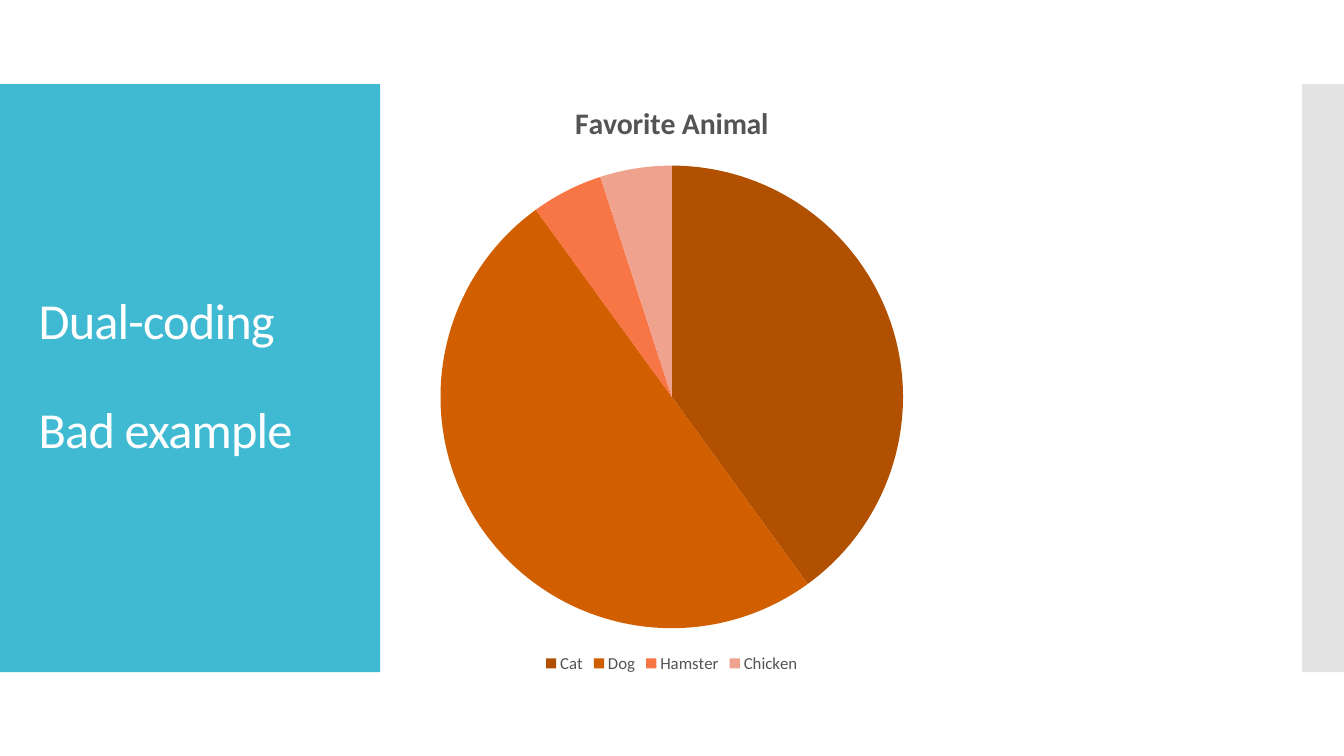
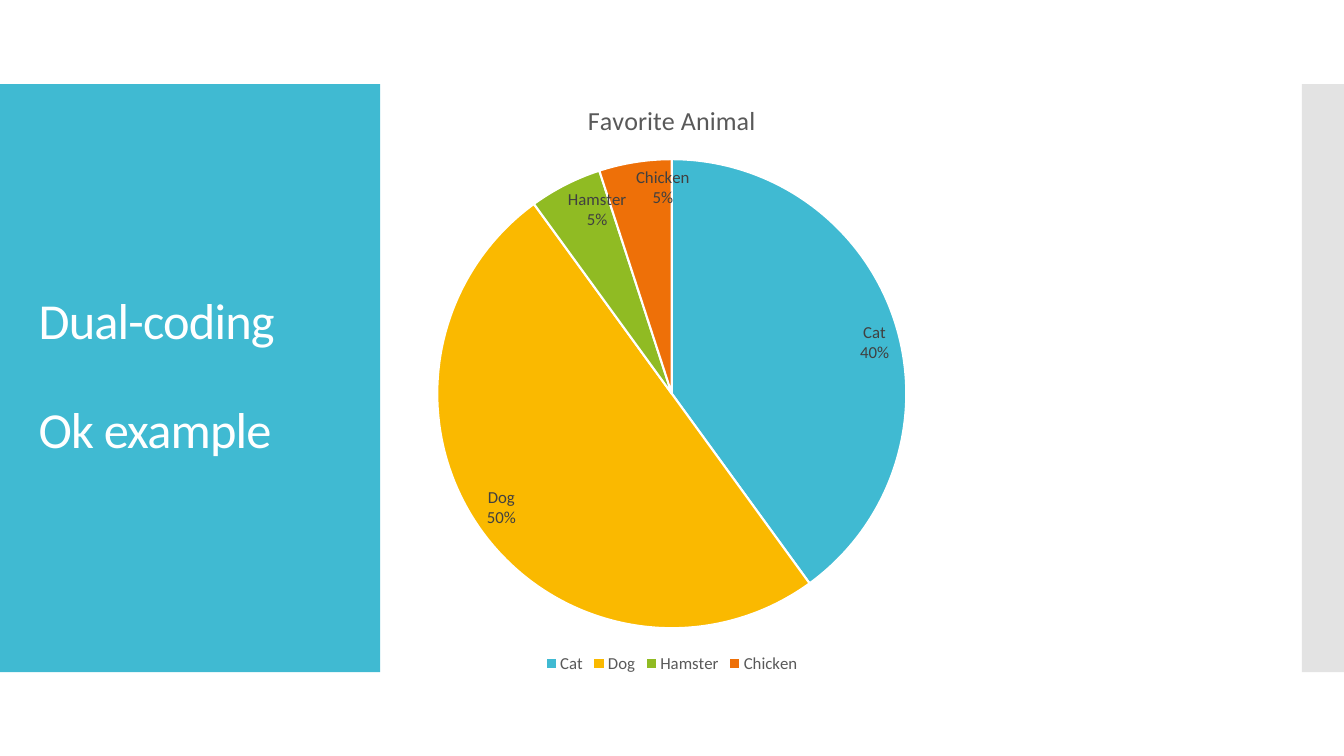
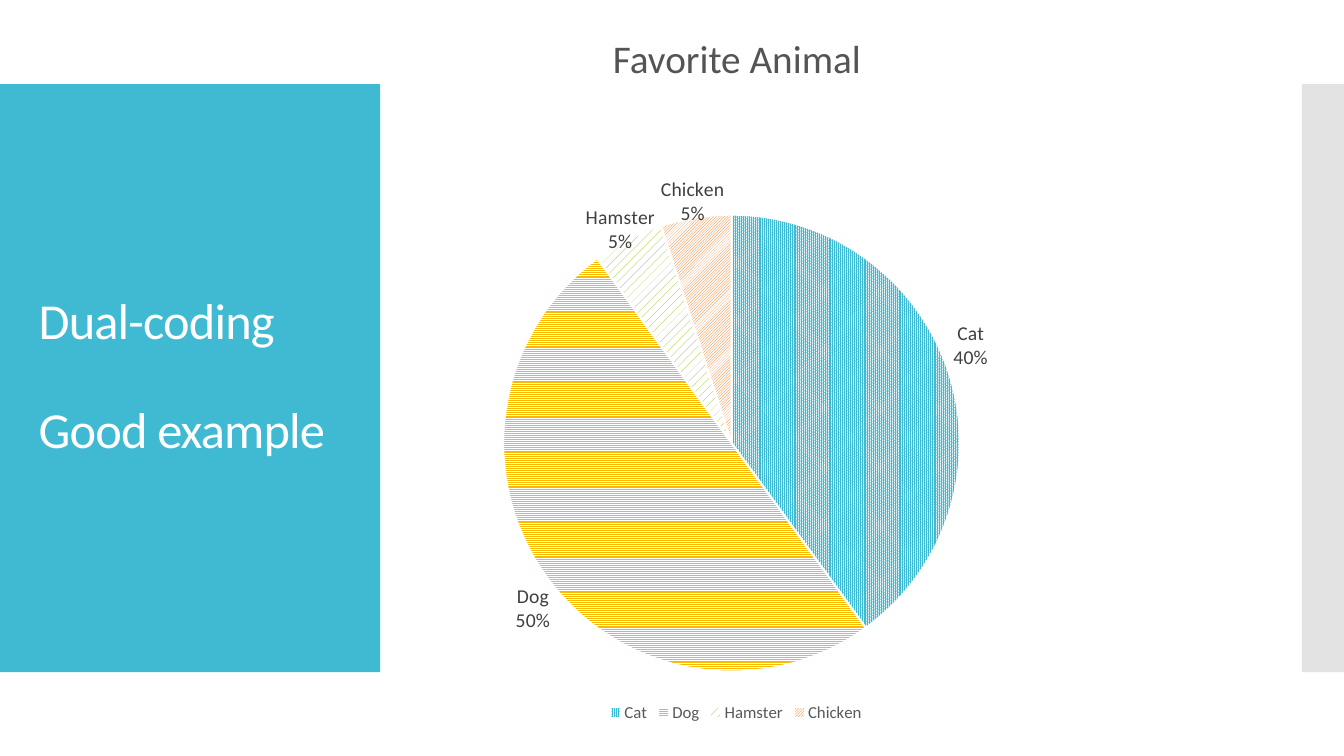
import dataclasses

import lxml.etree
import pptx
import pptx.chart.data
import pptx.dml.color
import pptx.enum.chart
import pptx.enum.dml
import pptx.enum.shapes
import pptx.enum.text
import pptx.oxml.ns
import pptx.util
from pptx.util import Cm, Pt

ALIGN = pptx.enum.text.PP_ALIGN
ANCHOR = pptx.enum.text.MSO_ANCHOR
PATTERN = pptx.enum.dml.MSO_PATTERN
INSIDE_END = pptx.enum.chart.XL_LABEL_POSITION.INSIDE_END


@dataclasses.dataclass(frozen=True)
class Theme:
    font: str = "Calibri"
    white: str = "FFFFFF"
    panel: str = "40BAD2"
    edge: str = "C8C8C8"
    dark_grey: str = "545454"
    grey: str = "595959"
    label: str = "404040"
    browns: tuple = ("B05000", "D15F00", "F87545", "EFA38F")
    accents: tuple = ("40BAD2", "FAB900", "90BB23", "EE7008")
    title_size: float = 36
    heading_size: float = 28
    legend_size: float = 12


THEME = Theme()


def rgb(color):
    return pptx.dml.color.RGBColor.from_string(color)


def write(shape, lines, size, color, align=ALIGN.LEFT, anchor=ANCHOR.TOP,
          line_spacing=1.0, gap=0, tracking=0):
    """Fill a shape with one paragraph per line; gap and tracking are in points."""
    frame = shape.text_frame
    frame.word_wrap = True
    frame.vertical_anchor = anchor
    frame.text = "\n".join(lines)
    for index, paragraph in enumerate(frame.paragraphs):
        paragraph.alignment = align
        paragraph.line_spacing = line_spacing
        paragraph.space_before = Pt(gap if index else 0)
        font = paragraph.runs[0].font
        font.name, font.size, font.color.rgb = THEME.font, Pt(size), rgb(color)
    for properties in shape.element.xpath(".//a:rPr"):
        properties.set("spc", str(round(tracking * 100)))


presentation = pptx.Presentation()
presentation.slide_width = Cm(33.87)
presentation.slide_height = Cm(19.05)
layout = presentation.slide_layouts.get_by_name("Title Only")
title_place = layout.placeholders[0]
title_place.left, title_place.top = Cm(0.72), Cm(3.13)
title_place.width, title_place.height = Cm(8.18), Cm(12.78)

CATEGORIES = ["Cat", "Dog", "Hamster", "Chicken"]
VALUES = [40, 50, 5, 5]
CHARTS = [
    {"name": "Bad example", "colors": THEME.browns, "text": THEME.dark_grey,
     "title_size": 21.3, "bold": True, "box": (5.64, 2.01, 22.58, 15.06)},
    {"name": "Ok example", "colors": THEME.accents, "text": THEME.grey,
     "title_size": 18.6, "label_size": 12, "box": (5.64, 2.01, 22.58, 15.06)},
    {"name": "Good example", "colors": THEME.accents, "text": THEME.grey,
     "label_size": 14, "box": (7.26, 1.7, 22.58, 16.61),
     "patterns": [PATTERN.PERCENT_90, PATTERN.NARROW_HORIZONTAL,
                  PATTERN.PERCENT_20, PATTERN.DARK_UPWARD_DIAGONAL],
     "plot_area": {"x": 0.24, "y": 0.22, "w": 0.51, "h": 0.7},
     "label_shifts": [(0.05, -0.08), (-0.04, 0.09), (-0.05, -0.06), (-0.04, -0.07)]},
]


def manual_layout(**settings):
    """Build a c:layout element from the names and values of its children."""
    element = lxml.etree.Element(pptx.oxml.ns.qn("c:layout"))
    manual = lxml.etree.SubElement(element, pptx.oxml.ns.qn("c:manualLayout"))
    for name, value in settings.items():
        lxml.etree.SubElement(manual, pptx.oxml.ns.qn("c:" + name)).set("val", str(value))
    return element


slides = [presentation.slides.add_slide(layout) for example in CHARTS]

# The layout has no add_shape, so the bands are drawn on a slide and moved there.
for left, width, color, alpha in [(0, 9.58, THEME.panel, None),
                                  (32.81, 1.06, THEME.edge, 50)]:
    band = slides[0].shapes.add_shape(pptx.enum.shapes.MSO_SHAPE.RECTANGLE,
                                      Cm(left), Cm(2.12), Cm(width), Cm(14.82))
    band.shadow.inherit = False
    band.fill.solid()
    band.fill.fore_color.rgb = rgb(color)
    band.line.fill.background()
    if alpha:
        color_element = band.element.xpath("./p:spPr/a:solidFill/a:srgbClr")[0]
        lxml.etree.SubElement(color_element, pptx.oxml.ns.qn("a:alpha")).set(
            "val", str(alpha * 1000))
    layout.shapes.element.insert(2, band.element)

for slide, example in zip(slides, CHARTS):
    write(slide.shapes.title, ["Dual-coding", example["name"]], THEME.title_size,
          THEME.white, anchor=ANCHOR.MIDDLE, line_spacing=0.9, gap=39, tracking=-0.6)

    data = pptx.chart.data.CategoryChartData()
    data.categories = CATEGORIES
    data.add_series("Favorite Animal", VALUES)
    chart = slide.shapes.add_chart(pptx.enum.chart.XL_CHART_TYPE.PIE,
                                   *map(Cm, example["box"]), data).chart
    chart.font.name, chart.font.size = THEME.font, Pt(10)
    background = lxml.etree.Element(pptx.oxml.ns.qn("c:spPr"))
    lxml.etree.SubElement(background, pptx.oxml.ns.qn("a:noFill"))
    border = lxml.etree.SubElement(background, pptx.oxml.ns.qn("a:ln"))
    lxml.etree.SubElement(border, pptx.oxml.ns.qn("a:noFill"))
    chart.element.xpath("./c:txPr")[0].addprevious(background)

    chart.has_title = "title_size" in example
    fonts = []
    if chart.has_title:
        title_frame = chart.chart_title.text_frame
        title_frame.text = "Favorite Animal"
        title_font = title_frame.paragraphs[0].runs[0].font
        title_font.bold = example.get("bold", False)
        fonts.append((title_font, example["title_size"], example["text"]))
    chart.has_legend = True
    chart.legend.position = pptx.enum.chart.XL_LEGEND_POSITION.BOTTOM
    chart.legend.include_in_layout = False
    fonts.append((chart.legend.font, THEME.legend_size, example["text"]))

    plot = chart.plots[0]
    plot.vary_by_categories = True
    series = plot.series[0]
    for index, color in enumerate(example["colors"]):
        point_format = series.points[index].format
        if "patterns" in example:
            point_format.fill.patterned()
            point_format.fill.pattern = example["patterns"][index]
            point_format.fill.back_color.rgb = rgb(THEME.white)
        else:
            point_format.fill.solid()
        point_format.fill.fore_color.rgb = rgb(color)
        if "label_size" in example:
            point_format.line.color.rgb = rgb(THEME.white)
            point_format.line.width = Pt(1.5)
        else:
            point_format.line.fill.background()

    if "label_size" in example:
        labels = [series.data_labels]
        labels += [series.points[index].data_label
                   for index in range(len(example.get("label_shifts", [])))]
        for label in labels:
            label.position = INSIDE_END
            fonts.append((label.font, example["label_size"], THEME.label))
        for name, shown in [("showVal", 0), ("showCatName", 1), ("showPercent", 1)]:
            for flag in chart.element.xpath(f".//c:ser/c:dLbls//c:{name}"):
                flag.set("val", str(shown))
        for flag in chart.element.xpath(".//c:ser/c:dLbls//c:showBubbleSize"):
            separator = lxml.etree.Element(pptx.oxml.ns.qn("c:separator"))
            separator.text = "\n"
            flag.addnext(separator)
        label_indexes = chart.element.xpath(".//c:ser/c:dLbls/c:dLbl/c:idx")
        for label_index, (x, y) in zip(label_indexes, example.get("label_shifts", [])):
            label_index.addnext(manual_layout(x=x, y=y))

    if "plot_area" in example:
        plot_area = chart.element.xpath(".//c:plotArea")[0]
        for old_layout in plot_area.xpath("./c:layout"):
            plot_area.remove(old_layout)
        plot_area.insert(0, manual_layout(layoutTarget="inner", xMode="edge",
                                          yMode="edge", **example["plot_area"]))

    for font, size, color in fonts:
        font.name, font.size, font.color.rgb = THEME.font, Pt(size), rgb(color)

heading = slides[-1].shapes.add_textbox(Cm(14.15), Cm(0.74), Cm(8.84), Cm(1.45))
write(heading, ["Favorite Animal"], THEME.heading_size, THEME.dark_grey, align=ALIGN.CENTER)
heading.text_frame.auto_size = pptx.enum.text.MSO_AUTO_SIZE.SHAPE_TO_FIT_TEXT

presentation.save("out.pptx")
